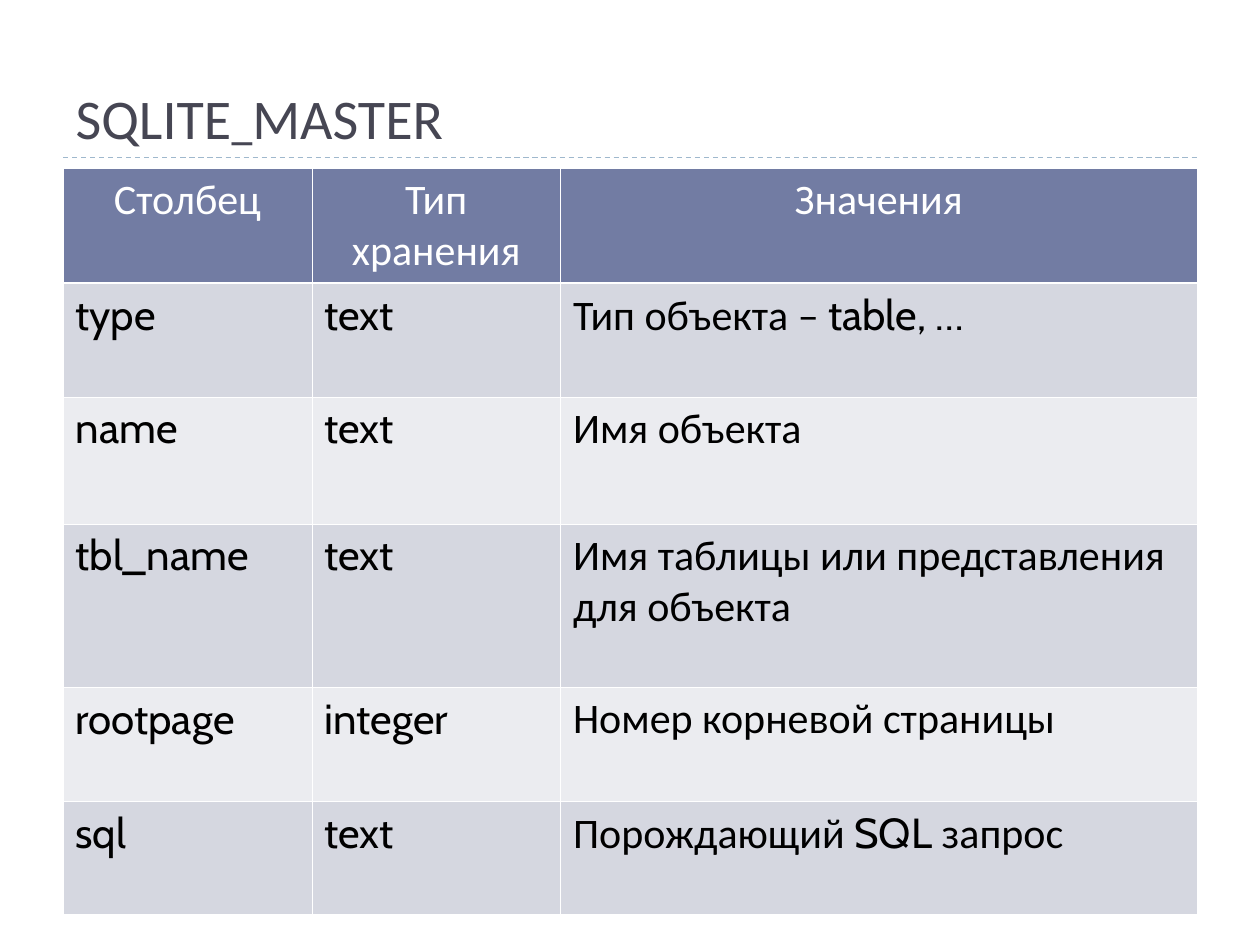
from itertools import cycle

from lxml import etree
from pptx import Presentation
from pptx.dml.color import RGBColor
from pptx.enum.dml import MSO_LINE
from pptx.enum.shapes import MSO_CONNECTOR, MSO_SHAPE
from pptx.enum.text import MSO_ANCHOR, PP_ALIGN
from pptx.oxml.ns import qn
from pptx.util import Cm, Pt

STRAIGHT, TRIANGLE = MSO_CONNECTOR.STRAIGHT, MSO_SHAPE.ISOSCELES_TRIANGLE
DASH, BOTTOM = MSO_LINE.DASH, MSO_ANCHOR.BOTTOM
LEFT, CENTER = PP_ALIGN.LEFT, PP_ALIGN.CENTER

COLORS = {
    "title": "464653", "accent": "9FB8CD", "header": "727CA3",
    "odd": "D5D7E0", "even": "EBECF0", "white": "FFFFFF", "black": "000000",
}


def add_run(p, text, font, size, color):
    r = p.add_run()
    r.text = text
    for name, value in {"name": font, "size": Pt(size), "bold": False}.items():
        setattr(r.font, name, value)
    r.font.color.rgb = RGBColor.from_string(COLORS[color])


def add_border(cell, side, width):
    ln = etree.SubElement(cell._tc.get_or_add_tcPr(), qn(f"a:ln{side}"), w=str(Pt(width)))
    fill = etree.SubElement(ln, qn("a:solidFill"))
    etree.SubElement(fill, qn("a:srgbClr"), val=COLORS["white"])


prs = Presentation()
prs.slide_width, prs.slide_height = Cm(25.4), Cm(19.05)
s = prs.slides.add_slide(prs.slide_layouts[5])
accent = RGBColor.from_string(COLORS["accent"])

# Dashed rule under the title
line = s.shapes.add_connector(STRAIGHT, Cm(1.27), Cm(3.18), Cm(24.13), Cm(3.18))
line.line.color.rgb = accent
line.line.width = Pt(0.75)
line.line.dash_style = DASH
etree.SubElement(line._element.spPr, qn("a:effectLst"))

# Footer marker
sp = s.shapes.add_shape(TRIANGLE, Cm(1.17), Cm(17.96), Cm(0.53), Cm(0.33))
sp.rotation = 90
sp.shadow.inherit = False
sp.fill.solid()
sp.fill.fore_color.rgb = accent
sp.line.fill.background()

# Title
title = s.shapes.title
box = {"left": 1.27, "top": 0.43, "width": 22.86, "height": 2.74}
for name, value in box.items():
    setattr(title, name, Cm(value))
tf = title.text_frame
tf.vertical_anchor = BOTTOM
p = tf.paragraphs[0]
p.alignment = LEFT
for text, font in [("SQLITE", "Calibri"), ("_", "Cambria"), ("MASTER", "Calibri")]:
    add_run(p, text, font, 32, "title")

# Table: the runs of the last column alternate between Calibri and Cabin
HEADER = ["Столбец", "Тип хранения", "Значения"]
ROWS = [
    ("type", "text", ["Тип объекта – ", "table, …"]),
    ("name", "text", ["Имя объекта"]),
    ("tbl_name", "text", ["Имя таблицы или представления для объекта"]),
    ("rootpage", "integer", ["Номер корневой страницы"]),
    ("sql", "text", ["Порождающий ", "SQL", " запрос"]),
]
COL_WIDTHS = [5.02, 5.01, 12.83]
ROW_HEIGHTS = [2.29, 2.29, 2.56, 3.3, 2.29, 2.29]

frame = s.shapes.add_table(len(ROW_HEIGHTS), len(COL_WIDTHS), Cm(1.27), Cm(3.39),
                           Cm(sum(COL_WIDTHS)), Cm(sum(ROW_HEIGHTS)))
table = frame.table
table.first_row = table.horz_banding = False
for col, width in zip(table.columns, COL_WIDTHS):
    col.width = Cm(width)
for row, height in zip(table.rows, ROW_HEIGHTS):
    row.height = Cm(height)

for i, values in enumerate([HEADER] + ROWS):
    header = i == 0
    fill = "header" if header else "odd" if i % 2 else "even"
    widths = {"L": 0.45, "R": 0.45, "T": 1.47 if i == 1 else 0.45, "B": 1.47 if header else 0.45}
    for j, value in enumerate(values):
        cell = table.cell(i, j)
        for side, width in widths.items():
            add_border(cell, side, width)
        cell.fill.solid()
        cell.fill.fore_color.rgb = RGBColor.from_string(COLORS[fill])
        p = cell.text_frame.paragraphs[0]
        p.alignment = CENTER if header else LEFT
        runs = value if isinstance(value, list) else [value]
        fonts = ["Calibri", "Cabin"] if header or j == 2 else ["Cabin"]
        for text, font in zip(runs, cycle(fonts)):
            add_run(p, text, font, 24, "white" if header else "black")

prs.save("out.pptx")
